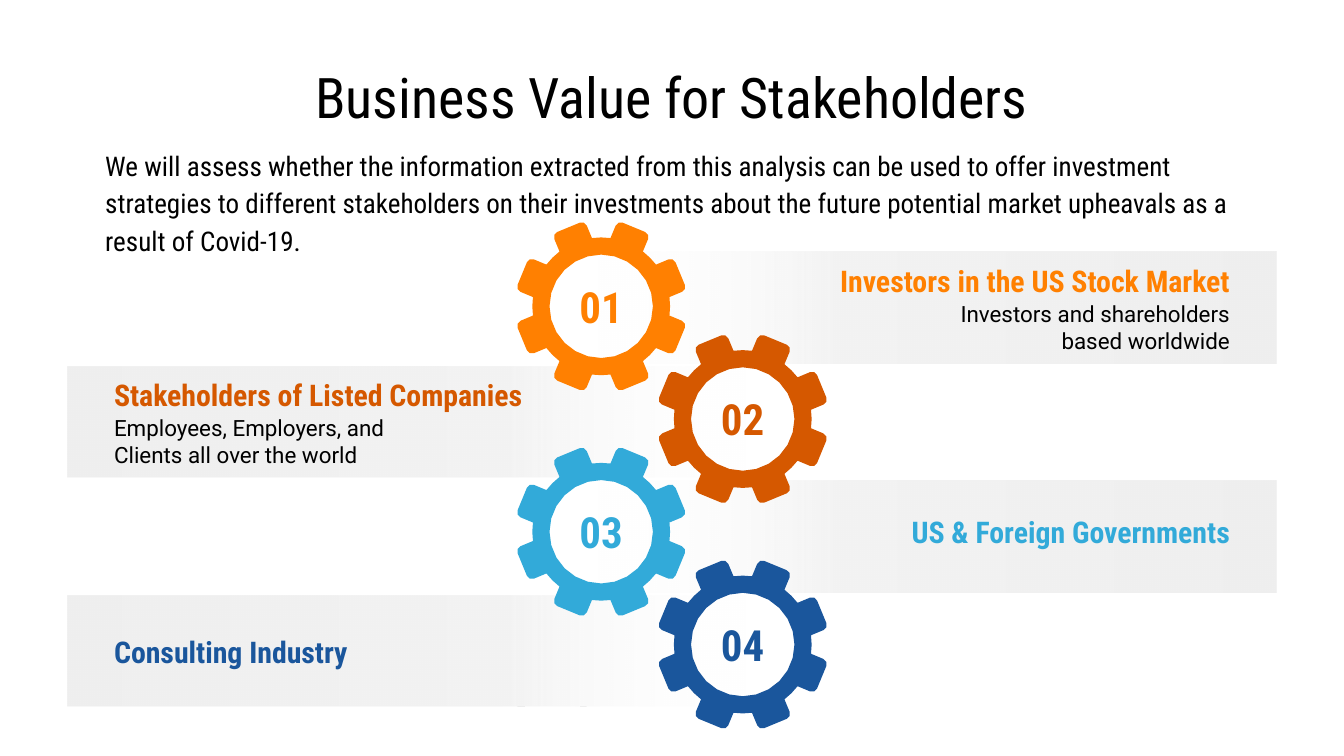
"""Build the stakeholder value slide with four interlocking gears."""
from math import asin, cos, pi, sin

from pptx import Presentation
from pptx.dml.color import RGBColor
from pptx.enum.shapes import MSO_SHAPE
from pptx.enum.text import MSO_ANCHOR, PP_ALIGN
from pptx.oxml import parse_xml
from pptx.oxml.ns import nsdecls, qn
from pptx.util import Pt

BLACK = RGBColor(0x00, 0x00, 0x00)
ORANGE = RGBColor(0xFF, 0x80, 0x01)
RUST = RGBColor(0xD5, 0x58, 0x00)
SKY = RGBColor(0x32, 0xAA, 0xD9)
NAVY = RGBColor(0x1A, 0x56, 0x9C)
CONDENSED = "Roboto Condensed"
REGULAR = "Roboto"

TITLE = "Business Value for Stakeholders"
INTRODUCTION = (
    "We will assess whether the information extracted from this analysis can be used "
    "to offer investment strategies to different stakeholders on their investments "
    "about the future potential market upheavals as a result of Covid-19."
)
STAKEHOLDERS = [
    {"heading": "Investors in the US Stock Market", "color": ORANGE, "offset": 5.3,
     "detail": "Investors and shareholders based worldwide", "detail_width": 170},
    {"heading": "Stakeholders of Listed Companies", "color": RUST, "offset": 4.9,
     "detail": "Employees, Employers, and Clients all over the world", "detail_width": 198},
    {"heading": "US & Foreign Governments", "color": SKY, "offset": 17.2},
    {"heading": "Consulting Industry", "color": NAVY, "offset": 20},
]

SLIDE_WIDTH, SLIDE_HEIGHT = 720, 405
BAND_MARGIN, BAND_TOP, BAND_WIDTH, BAND_HEIGHT, BAND_STEP = 36, 135, 363.6, 59.6, 61.3
TEXT_MARGIN, HEADING_WIDTH, HEADING_HEIGHT, DETAIL_HEIGHT = 54, 234, 20.2, 29.5
GEAR_CENTERS, GEAR_TOP, GEAR_STEP = (322.1, 397.9), 164.1, 60.4
NUMBER_WIDTH, NUMBER_HEIGHT, NUMBER_RISE = 44, 42.5, 21.2
TEETH, HOLE_RADIUS, ROOT_RADIUS, TIP_RADIUS = 8, 27.7, 36.9, 45.8
TOOTH_HALF, CORNER_RADIUS, ARC_STEPS, HOLE_STEPS = 9.4, 2.9, 2, 24
INSET = 7.2

GRADIENT = f"""<a:gradFill {nsdecls("a")} rotWithShape="1"><a:gsLst>
<a:gs pos="0"><a:srgbClr val="EFEFEF"/></a:gs>
<a:gs pos="64000"><a:srgbClr val="F3F3F3"/></a:gs>
<a:gs pos="100000"><a:srgbClr val="FFFFFF"><a:alpha val="0"/></a:srgbClr></a:gs>
</a:gsLst><a:lin ang="10800000" scaled="0"/></a:gradFill>"""


def arc(center_x, center_y, radius, start, end, steps=ARC_STEPS):
    angles = [start + (end - start) * step / steps for step in range(steps + 1)]
    return [(center_x + radius * cos(a), center_y + radius * sin(a)) for a in angles]


def gear_outline():
    root_angle = asin(TOOTH_HALF / ROOT_RADIUS)
    corner_x = TIP_RADIUS - CORNER_RADIUS
    corner_y = TOOTH_HALF - CORNER_RADIUS
    tooth = (arc(corner_x, -corner_y, CORNER_RADIUS, -pi / 2, 0)
             + arc(corner_x, corner_y, CORNER_RADIUS, 0, pi / 2)
             + arc(0, 0, ROOT_RADIUS, root_angle, 2 * pi / TEETH - root_angle))
    turns = [2 * pi * (index + 0.5) / TEETH for index in range(TEETH)]
    return [(x * cos(turn) - y * sin(turn), x * sin(turn) + y * cos(turn))
            for turn in turns for x, y in tooth]


def add_band(slide, left, top, rotation):
    band = slide.shapes.add_shape(
        MSO_SHAPE.RECTANGLE, Pt(left), Pt(top), Pt(BAND_WIDTH), Pt(BAND_HEIGHT))
    band.shadow.inherit = False
    band.rotation = rotation
    band.line.fill.background()
    band.fill.background()
    properties = band._element.spPr
    properties.replace(properties.find(qn("a:noFill")), parse_xml(GRADIENT))


def add_gear(slide, center_x, center_y, color):
    hole_outline = arc(0, 0, HOLE_RADIUS, 2 * pi, 0, HOLE_STEPS)[:-1]
    outline, hole = [
        [(Pt(center_x + x), Pt(center_y + y)) for x, y in points]
        for points in (gear_outline(), hole_outline)]
    builder = slide.shapes.build_freeform(*outline[0], scale=1.0)
    builder.add_line_segments(outline[1:], close=True)
    builder.move_to(*hole[0])
    builder.add_line_segments(hole[1:], close=True)
    gear = builder.convert_to_shape()
    gear.shadow.inherit = False
    gear.fill.solid()
    gear.fill.fore_color.rgb = color
    gear.line.fill.background()


def add_text(slide, box, text, size, color=BLACK, font=CONDENSED, bold=False,
             align=PP_ALIGN.LEFT, anchor=MSO_ANCHOR.MIDDLE):
    frame = slide.shapes.add_textbox(*(Pt(length) for length in box)).text_frame
    frame.word_wrap = True
    frame.vertical_anchor = anchor
    frame.margin_left = frame.margin_right = Pt(INSET)
    frame.margin_top = frame.margin_bottom = Pt(INSET)
    paragraph = frame.paragraphs[0]
    paragraph.text = text
    paragraph.alignment = align
    paragraph.font.size = Pt(size)
    paragraph.font.name = font
    paragraph.font.bold = bold
    paragraph.font.color.rgb = color
    return paragraph


def add_labels(slide, index, stakeholder):
    on_left = index % 2 == 1
    align = PP_ALIGN.LEFT if on_left else PP_ALIGN.RIGHT

    def label_box(top, width, height):
        left = TEXT_MARGIN if on_left else SLIDE_WIDTH - TEXT_MARGIN - width
        return left, top, width, height

    top = BAND_TOP + index * BAND_STEP + stakeholder["offset"]
    color = stakeholder["color"]
    add_text(slide, label_box(top, HEADING_WIDTH, HEADING_HEIGHT),
             stakeholder["heading"], 16, color, bold=True, align=align)
    if "detail" in stakeholder:
        box = label_box(top + HEADING_HEIGHT, stakeholder["detail_width"], DETAIL_HEIGHT)
        add_text(slide, box, stakeholder["detail"], 12, font=REGULAR, align=align)


def main():
    presentation = Presentation()
    presentation.slide_width = Pt(SLIDE_WIDTH)
    presentation.slide_height = Pt(SLIDE_HEIGHT)
    slide = presentation.slides.add_slide(presentation.slide_layouts[6])

    for index in range(len(STAKEHOLDERS)):
        on_left = index % 2 == 1
        left = BAND_MARGIN if on_left else SLIDE_WIDTH - BAND_MARGIN - BAND_WIDTH
        add_band(slide, left, BAND_TOP + index * BAND_STEP, 180 if on_left else 0)

    add_text(slide, (36, 32.4, 648, 38.2), TITLE, 30, align=PP_ALIGN.CENTER)
    for index, stakeholder in enumerate(STAKEHOLDERS):
        center_x = GEAR_CENTERS[index % 2]
        center_y = GEAR_TOP + index * GEAR_STEP
        add_gear(slide, center_x, center_y, stakeholder["color"])
        add_labels(slide, index, stakeholder)
        number_box = (center_x - NUMBER_WIDTH / 2, center_y - NUMBER_RISE,
                      NUMBER_WIDTH, NUMBER_HEIGHT)
        add_text(slide, number_box, f"{index + 1:02}", 23, stakeholder["color"], bold=True,
                 align=PP_ALIGN.CENTER, anchor=MSO_ANCHOR.TOP)

    introduction = add_text(slide, (49.3, 70.2, 635, 52.6), INTRODUCTION, 14.5,
                            anchor=MSO_ANCHOR.TOP)
    introduction.line_spacing = 1.15
    introduction.space_after = Pt(12)
    presentation.save("out.pptx")


if __name__ == "__main__":
    main()
